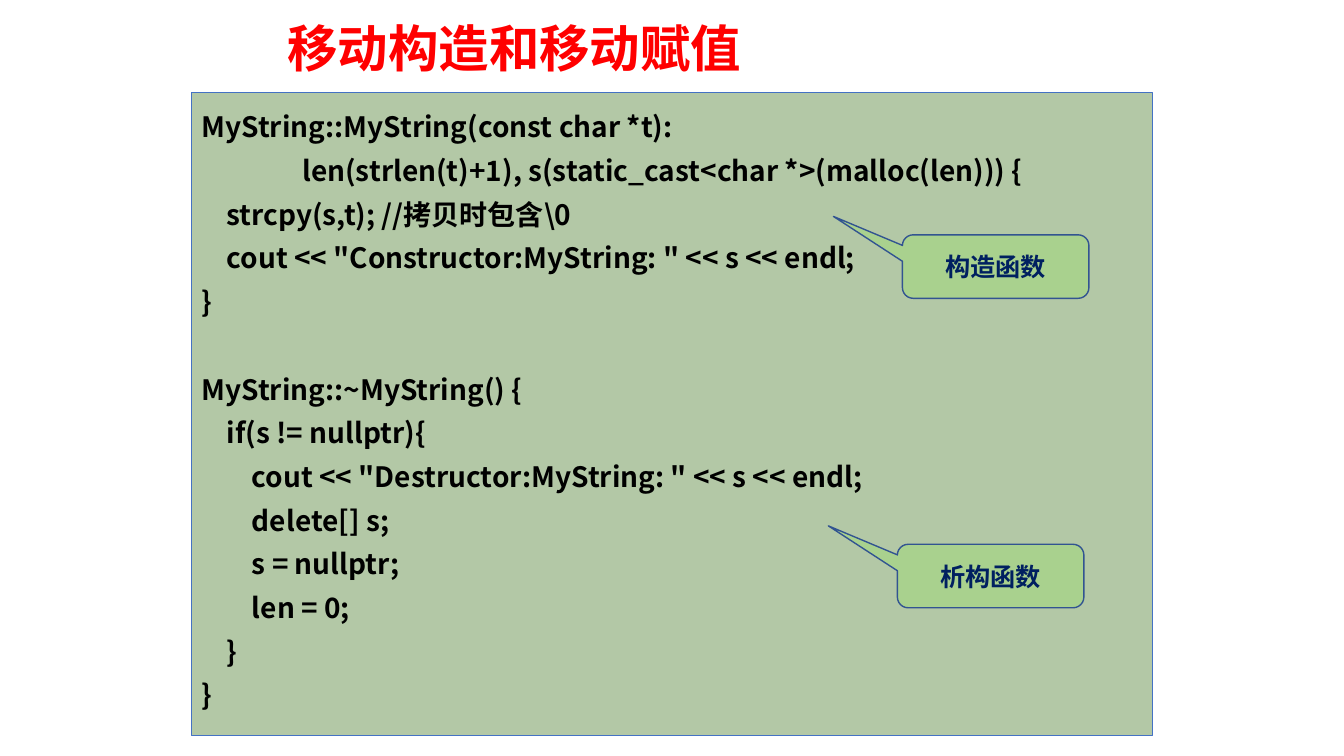
from dataclasses import dataclass

from lxml import etree
from pptx import Presentation
from pptx.dml.color import RGBColor
from pptx.enum.shapes import MSO_SHAPE
from pptx.enum.text import MSO_ANCHOR, MSO_AUTO_SIZE, PP_ALIGN
from pptx.oxml.ns import qn
from pptx.util import Inches, Pt

RECTANGLE = MSO_SHAPE.RECTANGLE
CALLOUT = MSO_SHAPE.ROUNDED_RECTANGULAR_CALLOUT
TOP, MIDDLE = MSO_ANCHOR.TOP, MSO_ANCHOR.MIDDLE
LEFT, CENTER = PP_ALIGN.LEFT, PP_ALIGN.CENTER
NO_AUTOFIT = MSO_AUTO_SIZE.NONE
TITLE_ONLY = 5


@dataclass(frozen=True)
class Theme:
    title_font: str = "Noto Sans CJK SC"
    body_font: str = "Noto Sans CJK JP"
    title_size: int = 36
    code_size: int = 20
    label_size: int = 18
    code_leading: float = 31.2
    title_color: str = "FF0000"
    code_color: str = "000000"
    label_color: str = "002060"
    panel_fill: str = "548235"
    panel_opacity: int = 44
    panel_line: str = "4472C4"
    label_fill: str = "A9D18E"
    label_line: str = "325491"


THEME = Theme()
INDENT_STEP = 0.25

# Each line: indent steps, code. An empty string leaves one line free.
CODE = [
    (0, "MyString::MyString(const char *t):"),
    (4, "len(strlen(t)+1), s(static_cast<char *>(malloc(len))) {"),
    (1, r"strcpy(s,t); //拷贝时包含\0"),
    (1, 'cout << "Constructor:MyString: " << s << endl;'),
    (0, "}"),
    (0, ""),
    (0, "MyString::~MyString() {"),
    (1, "if(s != nullptr){"),
    (2, 'cout << "Destructor:MyString: " << s << endl;'),
    (2, "delete[] s;"),
    (2, "s = nullptr;"),
    (2, "len = 0;"),
    (1, "}"),
    (0, "}"),
]


def style_paragraph(para, font_name, size, color, align):
    """Set bold type on a paragraph, for Latin and East Asian text alike."""
    font = para.font
    font.name, font.size, font.bold = font_name, Pt(size), True
    font.color.rgb = RGBColor.from_string(color)
    para.alignment = align
    for run in para.runs:
        east_asian = etree.SubElement(run.font._element, qn("a:ea"))
        east_asian.set("typeface", font_name)


def indent_paragraph(para, inches):
    properties = para._p.get_or_add_pPr()
    properties.set("marL", str(Inches(inches)))
    properties.set("indent", "0")


def add_box(page, kind, box, fill, line, line_width):
    shape = page.shapes.add_shape(kind, *map(Inches, box))
    shape.shadow.inherit = False
    shape.fill.solid()
    shape.fill.fore_color.rgb = RGBColor.from_string(fill)
    shape.line.color.rgb = RGBColor.from_string(line)
    shape.line.width = Pt(line_width)
    shape.text_frame.word_wrap = True
    return shape


def place_title(page, box, text):
    title = page.shapes.title
    title.left, title.top, title.width, title.height = map(Inches, box)
    frame = title.text_frame
    frame.text = text
    frame.auto_size = NO_AUTOFIT
    frame.vertical_anchor = MIDDLE
    para = frame.paragraphs[0]
    para.line_spacing = 0.9
    indent_paragraph(para, 0.5)
    style_paragraph(para, THEME.title_font, THEME.title_size, THEME.title_color, LEFT)


def add_code_panel(page, box, lines):
    panel = add_box(page, RECTANGLE, box, THEME.panel_fill, THEME.panel_line, 0.75)
    color = panel.fill._xPr.find(qn("a:solidFill"))[0]
    alpha = etree.SubElement(color, qn("a:alpha"))
    alpha.set("val", str(THEME.panel_opacity * 1000))

    frame = panel.text_frame
    frame.vertical_anchor = TOP
    frame.margin_top = Inches(0.07)
    para, gap = frame.paragraphs[0], 0
    for steps, code in lines:
        if not code:
            gap += THEME.code_leading
            continue
        if para.runs:
            para = frame.add_paragraph()
        para.text = code
        para.line_spacing = Pt(THEME.code_leading)
        para.space_before = Pt(gap)
        gap = 0
        indent_paragraph(para, steps * INDENT_STEP)
        style_paragraph(para, THEME.body_font, THEME.code_size, THEME.code_color, LEFT)


def add_callout(page, box, text):
    """Add a label whose tail points up and left into the code."""
    callout = add_box(page, CALLOUT, box, THEME.label_fill, THEME.label_line, 1)
    for index, value in enumerate((-0.87, -0.79, 0.17)):
        callout.adjustments[index] = value
    frame = callout.text_frame
    frame.vertical_anchor = MIDDLE
    frame.text = text
    style_paragraph(frame.paragraphs[0], THEME.body_font, THEME.label_size,
                    THEME.label_color, CENTER)


def main():
    deck = Presentation()
    deck.slide_width, deck.slide_height = Inches(13.33), Inches(7.5)
    page = deck.slides.add_slide(deck.slide_layouts[TITLE_ONLY])
    place_title(page, (2.25, 0.05, 8.5, 0.92), "移动构造和移动赋值")
    add_code_panel(page, (1.9, 0.92, 9.53, 6.38), CODE)
    for left, top, text in ((8.95, 2.33, "构造函数"), (8.9, 5.4, "析构函数")):
        add_callout(page, (left, top, 1.85, 0.63), text)
    deck.save("out.pptx")


if __name__ == "__main__":
    main()
